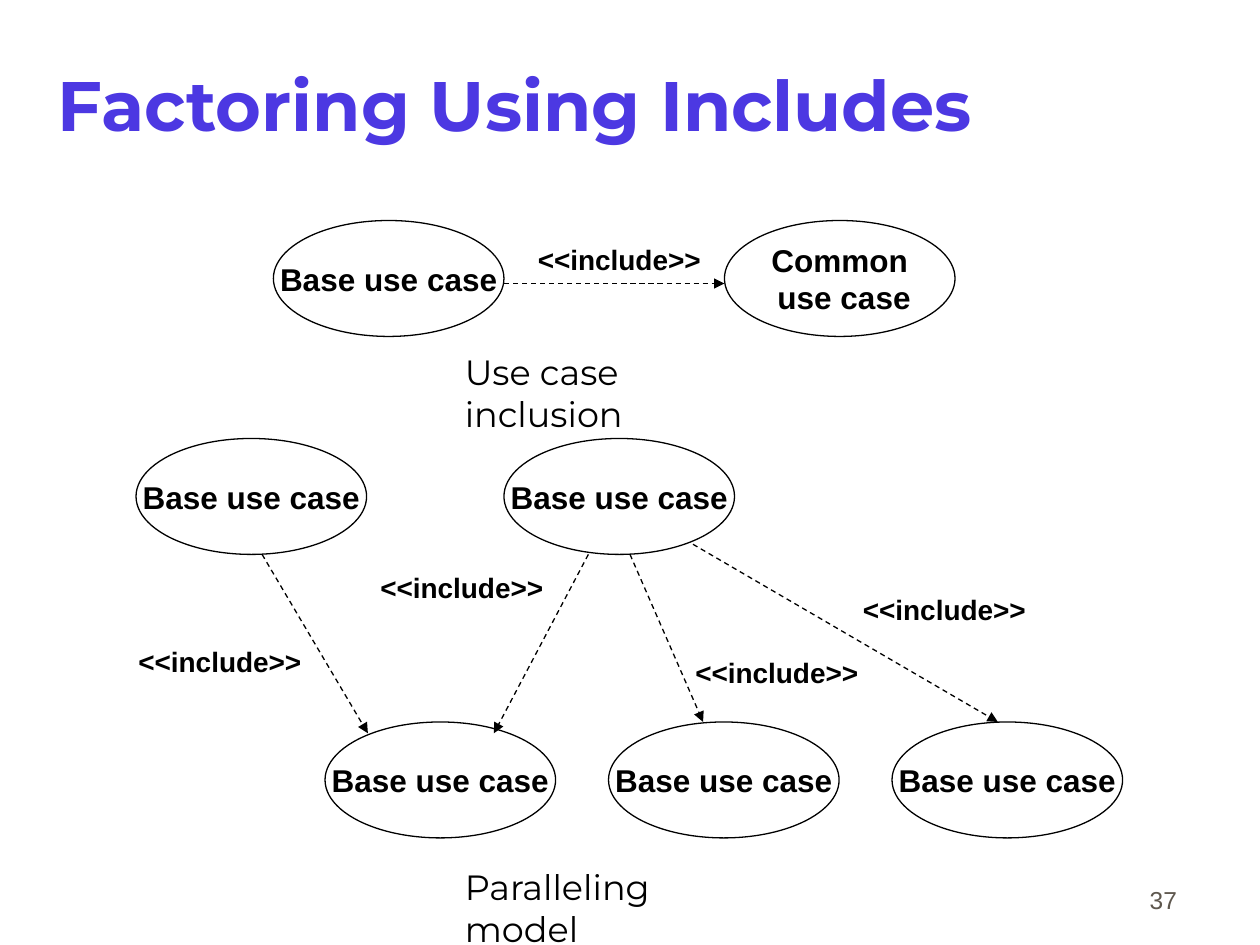
import pptx
import pptx.util
from lxml import etree
from pptx.dml.color import RGBColor
from pptx.enum.dml import MSO_LINE
from pptx.enum.shapes import MSO_CONNECTOR, MSO_SHAPE
from pptx.enum.text import MSO_ANCHOR, PP_ALIGN
from pptx.oxml.ns import qn
from pptx.util import Inches

BLACK = "000000"
TITLE = "Factoring Using Includes"
USE_CASE_SIZE = (1.83, 0.92)
LABEL_SIZE = (1.52, 0.37)
BASE = "Base use case"
INCLUDE = "<<include>>"

# Left, top, text
USE_CASES = [
    (2.17, 1.75, BASE),
    (5.75, 1.75, "Common\n use case"),
    (1.08, 3.48, BASE),
    (4, 3.48, BASE),
    (2.58, 5.73, BASE),
    (4.83, 5.73, BASE),
    (7.08, 5.73, BASE),
]
# Start, end, left and top of the label
INCLUDES = [
    ((4, 2.25), (5.75, 2.25), (4.17, 1.88)),
    ((2.08, 4.4), (2.92, 5.82), (1, 5.07)),
    ((4.67, 4.4), (3.92, 5.82), (2.92, 4.48)),
    ((5, 4.4), (5.58, 5.73), (5.42, 5.15)),
    ((5.5, 4.32), (7.92, 5.73), (6.75, 4.65)),
]
# Left, top, width, height, text
CAPTIONS = [
    (3.59, 2.73, 2.58, 0.44, "Use case inclusion"),
    (3.59, 6.82, 2.48, 0.44, "Paralleling model"),
]


def color(value):
    return RGBColor.from_string(value)


def write_text(shape, text, *, size, font="Arial", fill=BLACK, bold=False,
               align=PP_ALIGN.LEFT, anchor=MSO_ANCHOR.TOP, wrap=False, side=0.1):
    frame = shape.text_frame
    frame.text = text
    frame.word_wrap = wrap
    frame.vertical_anchor = anchor
    frame.margin_left = frame.margin_right = Inches(side)
    frame.margin_top = frame.margin_bottom = Inches(0.05)
    for paragraph in frame.paragraphs:
        paragraph.alignment = align
        paragraph.font.size = pptx.util.Pt(size)
        paragraph.font.name = font
        paragraph.font.bold = bold
        paragraph.font.color.rgb = color(fill)


def add_text(slide, box, text, **text_format):
    shape = slide.shapes.add_textbox(*map(Inches, box))
    write_text(shape, text, **text_format)


def add_use_case(slide, left, top, text):
    shape = slide.shapes.add_shape(
        MSO_SHAPE.OVAL, *map(Inches, (left, top, *USE_CASE_SIZE)))
    shape.shadow.inherit = False
    shape.fill.background()
    shape.line.color.rgb = color(BLACK)
    shape.line.width = pptx.util.Pt(0.75)
    write_text(shape, text, size=18, bold=True, align=PP_ALIGN.CENTER,
               anchor=MSO_ANCHOR.MIDDLE)


def add_dashed_arrow(slide, start, end):
    connector = slide.shapes.add_connector(
        MSO_CONNECTOR.STRAIGHT, *map(Inches, (*start, *end)))
    connector.line.color.rgb = color(BLACK)
    connector.line.width = pptx.util.Pt(0.75)
    connector.line.dash_style = MSO_LINE.DASH
    etree.SubElement(connector.line._get_or_add_ln(), qn("a:tailEnd"), type="triangle")
    etree.SubElement(connector._element.spPr, qn("a:effectLst"))


def main():
    presentation = pptx.Presentation()
    presentation.slide_width = Inches(10)
    presentation.slide_height = Inches(7.5)
    slide = presentation.slides.add_slide(presentation.slide_layouts[5])

    title = slide.shapes.title
    title.left, title.top, title.width, title.height = map(
        Inches, (0.44, 0.2, 8.5, 1.25))
    write_text(title, TITLE, size=40, font="Montserrat", fill="4C38E2", bold=True,
               anchor=MSO_ANCHOR.MIDDLE, wrap=True, side=0.02)

    for use_case in USE_CASES:
        add_use_case(slide, *use_case)
    for start, end, label in INCLUDES:
        add_dashed_arrow(slide, start, end)
        add_text(slide, (*label, *LABEL_SIZE), INCLUDE, size=16, bold=True)
    for *box, text in CAPTIONS:
        add_text(slide, box, text, size=20, font="Montserrat", wrap=True)
    add_text(slide, (7.36, 6.81, 2.08, 0.5), "37", size=14, fill="5E574E",
             align=PP_ALIGN.RIGHT, anchor=MSO_ANCHOR.BOTTOM, wrap=True)

    presentation.save("out.pptx")


if __name__ == "__main__":
    main()
